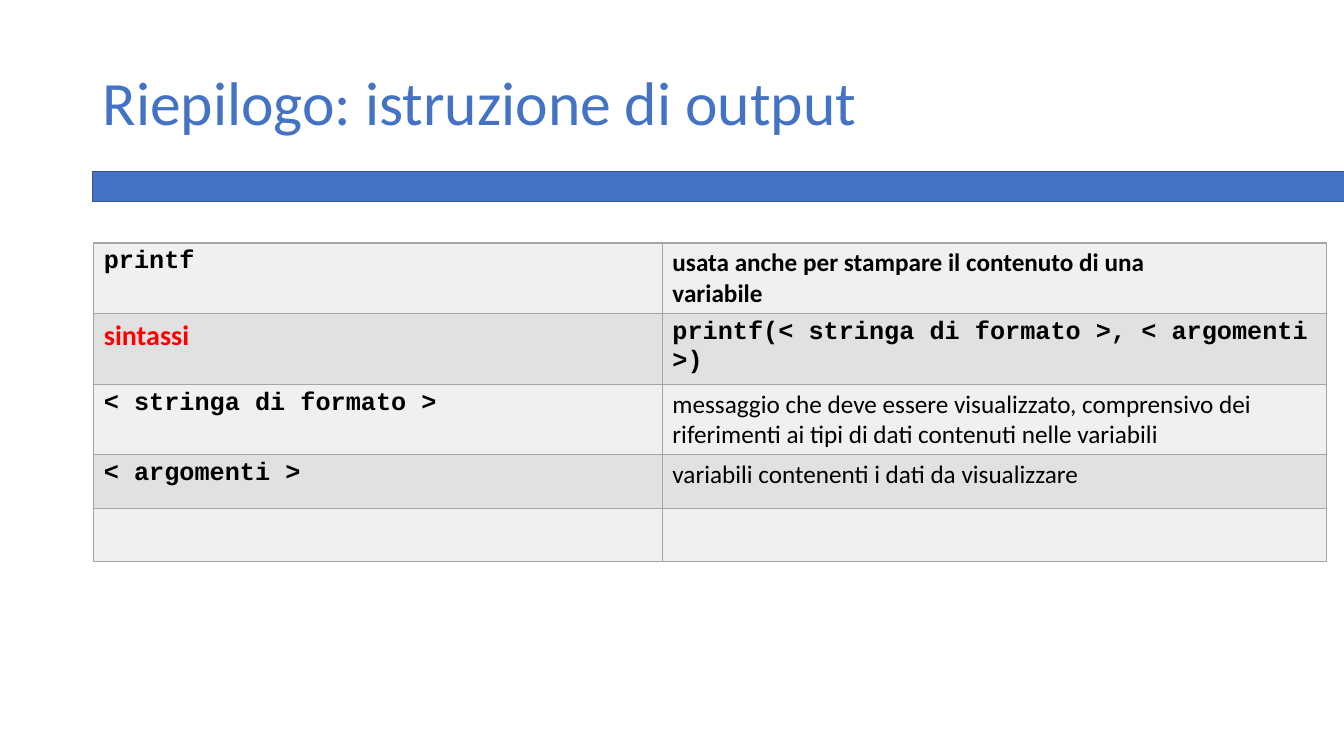
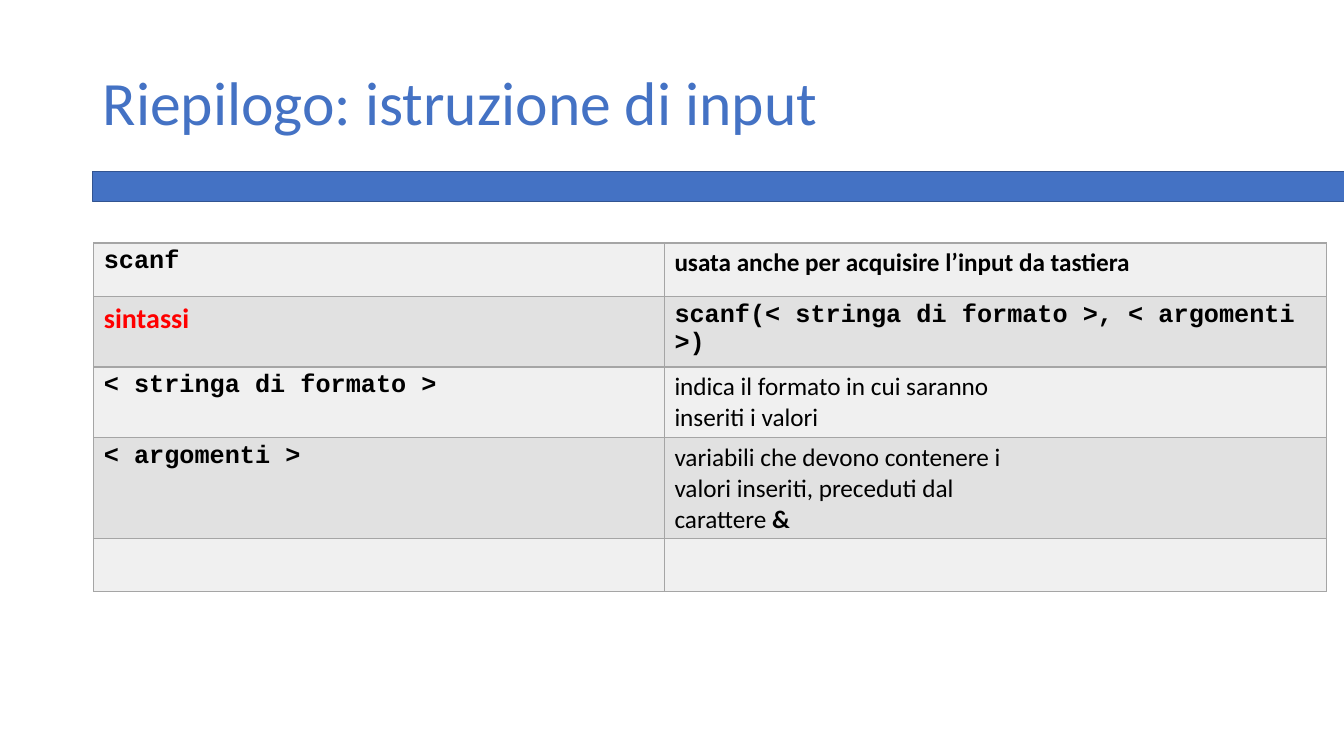
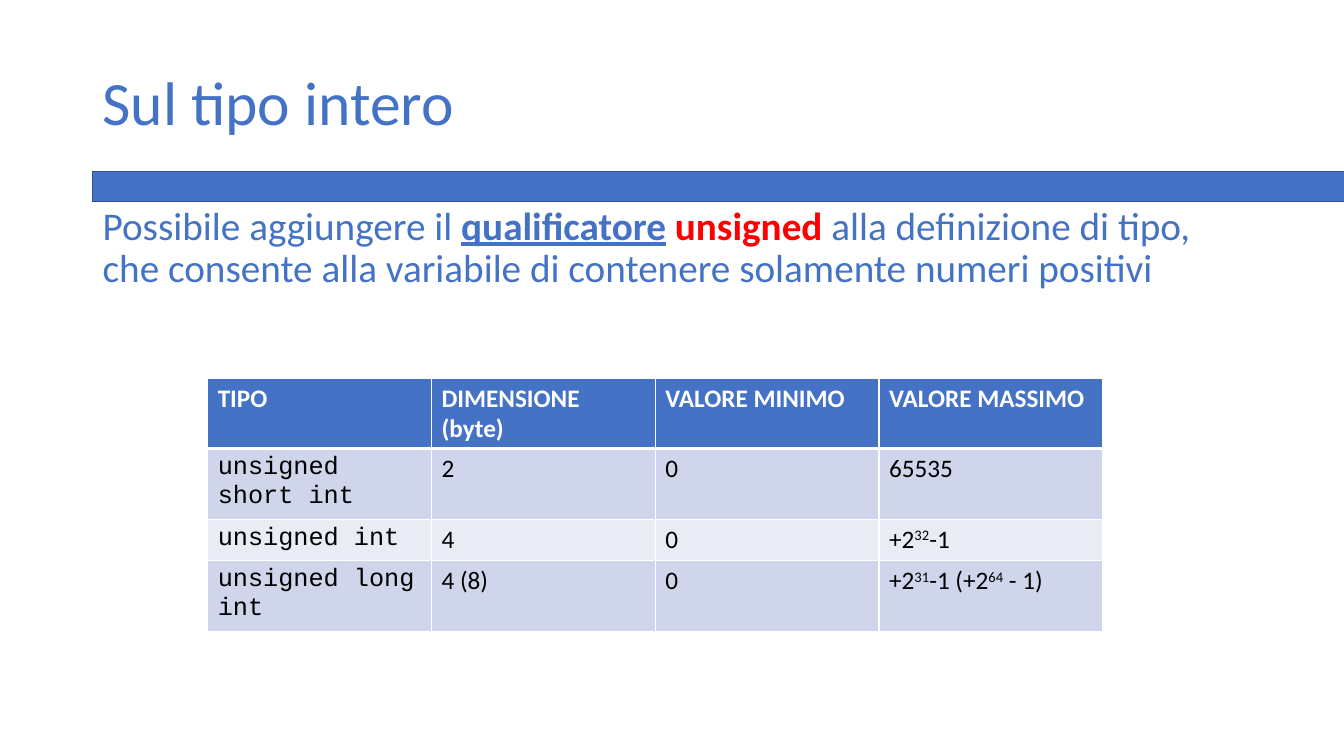
from lxml.etree import SubElement
from pptx import Presentation
from pptx.dml.color import RGBColor
from pptx.enum.shapes import MSO_SHAPE
from pptx.enum.text import MSO_ANCHOR
from pptx.oxml.ns import qn
from pptx.util import Inches, Pt

COLORS = {
    "blue": "4472C4",
    "dark_blue": "325491",
    "red": "FF0000",
    "black": "000000",
    "white": "FFFFFF",
    "gray": "A5A5A5",
    "light_gray": "F0F0F0",
    "mid_gray": "E1E1E1",
    "light_blue": "E9EBF5",
    "mid_blue": "CFD5EA",
}
BODY_FONT = "Calibri"
CODE_FONT = "Courier New"
LEFT = 0.92
TEXT_WIDTH = 11.5


def rgb(name):
    return RGBColor.from_string(COLORS[name])


def add_span(para, text, size=18, font=BODY_FONT, color="black",
             bold=False, underline=False, raised=False):
    span = para.add_run()
    span.text = text
    span.font.size = Pt(size)
    span.font.name = font
    span.font.color.rgb = rgb(color)
    span.font.bold = bold
    span.font.underline = underline
    if raised:
        span.font._element.set("baseline", "30000")


def plain(*lines, **style):
    return [[(line, style)] for line in lines]


def code(text, bold=True):
    return plain(text, font=CODE_FONT, bold=bold)


def powers(*parts):
    return [[(part, {"raised": index % 2 == 1}) for index, part in enumerate(parts)]]


def fill_frame(frame, lines, spacing=None):
    for index, line in enumerate(lines):
        para = frame.add_paragraph() if index else frame.paragraphs[0]
        para.line_spacing = spacing
        for text, style in line:
            add_span(para, text, **style)


def set_borders(cell, color, bottom):
    properties = cell._tc.get_or_add_tcPr()
    for side, width in (("L", 1), ("R", 1), ("T", 1), ("B", bottom)):
        line = SubElement(properties, qn(f"a:ln{side}"), w=str(Pt(width)))
        solid = SubElement(line, qn("a:solidFill"))
        SubElement(solid, qn("a:srgbClr"), val=COLORS[color])


class LessonDeck:
    def __init__(self):
        self.deck = Presentation()
        self.deck.slide_width = Inches(13.33)
        self.deck.slide_height = Inches(7.5)
        self.page = None

    def start_page(self, title):
        self.page = self.deck.slides.add_slide(self.deck.slide_layouts[6])
        self.add_band()
        self.add_text(0.4, plain(title, size=44, color="blue"), MSO_ANCHOR.MIDDLE)

    def add_band(self):
        band = self.page.shapes.add_shape(
            MSO_SHAPE.RECTANGLE, Inches(LEFT), Inches(1.7), Inches(12.42), Inches(0.3))
        band.shadow.inherit = False
        band.fill.solid()
        band.fill.fore_color.rgb = rgb("blue")
        band.line.color.rgb = rgb("dark_blue")
        band.line.width = Pt(1)

    def add_text(self, top, lines, anchor=MSO_ANCHOR.TOP):
        box = self.page.shapes.add_textbox(
            Inches(LEFT), Inches(top), Inches(TEXT_WIDTH), Inches(1.3))
        box.text_frame.word_wrap = True
        box.text_frame.vertical_anchor = anchor
        fill_frame(box.text_frame, lines, spacing=0.9)

    def add_table(self, left, top, widths, row_height, rows, bands, border, header=None):
        table = self.page.shapes.add_table(
            len(rows), len(widths), Inches(left), Inches(top),
            Inches(sum(widths)), Inches(row_height * len(rows))).table
        table.first_row = header is not None
        table.horz_banding = False
        for column, width in zip(table.columns, widths):
            column.width = Inches(width)
        for index, (row, contents) in enumerate(zip(table.rows, rows)):
            row.height = Inches(row_height)
            is_header = header is not None and index == 0
            fill = header if is_header else bands[index % 2]
            for cell, lines in zip(row.cells, contents):
                set_borders(cell, border, 3 if is_header else 1)
                cell.fill.solid()
                cell.fill.fore_color.rgb = rgb(fill)
                fill_frame(cell.text_frame, lines)

    def add_summary(self, title, function, widths, purpose, format_note, argument_note):
        self.start_page(title)
        rows = [
            [code(function), plain(*purpose, bold=True)],
            [plain("sintassi", size=20, color="red", bold=True),
             code(f"{function}(< stringa di formato >, < argomenti >)")],
            [code("< stringa di formato >"), plain(*format_note)],
            [code("< argomenti >"), argument_note],
            [[], []],
        ]
        self.add_table(0.93, 2.41, widths, 0.53, rows,
                       ("light_gray", "mid_gray"), "gray")


def main():
    lesson = LessonDeck()

    lesson.add_summary(
        "Riepilogo: istruzione di output", "printf", (5.64, 6.59),
        ["usata anche per stampare il contenuto di una", "variabile"],
        ["messaggio che deve essere visualizzato, comprensivo dei",
         "riferimenti ai tipi di dati contenuti nelle variabili"],
        plain("variabili contenenti i dati da visualizzare"))

    lesson.add_summary(
        "Riepilogo: istruzione di input", "scanf", (5.66, 6.57),
        ["usata anche per acquisire l’input da tastiera"],
        ["indica il formato in cui saranno", "inseriti i valori"],
        plain("variabili che devono contenere i", "valori inseriti, preceduti dal")
        + [[("carattere ", {}), ("&", {"bold": True})]])

    lesson.start_page("Sul tipo intero")
    intro = {"size": 28, "color": "blue"}
    lesson.add_text(2, [[
        ("Possibile aggiungere il ", intro),
        ("qualificatore", {**intro, "bold": True, "underline": True}),
        (" ", intro),
        ("unsigned ", {**intro, "color": "red", "bold": True}),
        ("alla definizione di tipo, che consente alla variabile di contenere "
         "solamente numeri positivi", intro),
    ]])
    headings = ("TIPO", "DIMENSIONE (byte)", "VALORE MINIMO", "VALORE MASSIMO")
    types = [
        ("unsigned short int", "2", plain("65535")),
        ("unsigned int", "4", powers("+2", "32", "-1")),
        ("unsigned long int", "4 (8)", powers("+2", "31", "-1 (+2", "64", " - 1)")),
    ]
    rows = [[plain(heading, color="white", bold=True) for heading in headings]]
    rows += [[code(name, bold=False), plain(size), plain("0"), maximum]
             for name, size, maximum in types]
    lesson.add_table(2.06, 3.75, [2.22] * 4, 0.41, rows,
                     ("light_blue", "mid_blue"), "white", header="blue")

    lesson.deck.save("out.pptx")


if __name__ == "__main__":
    main()
